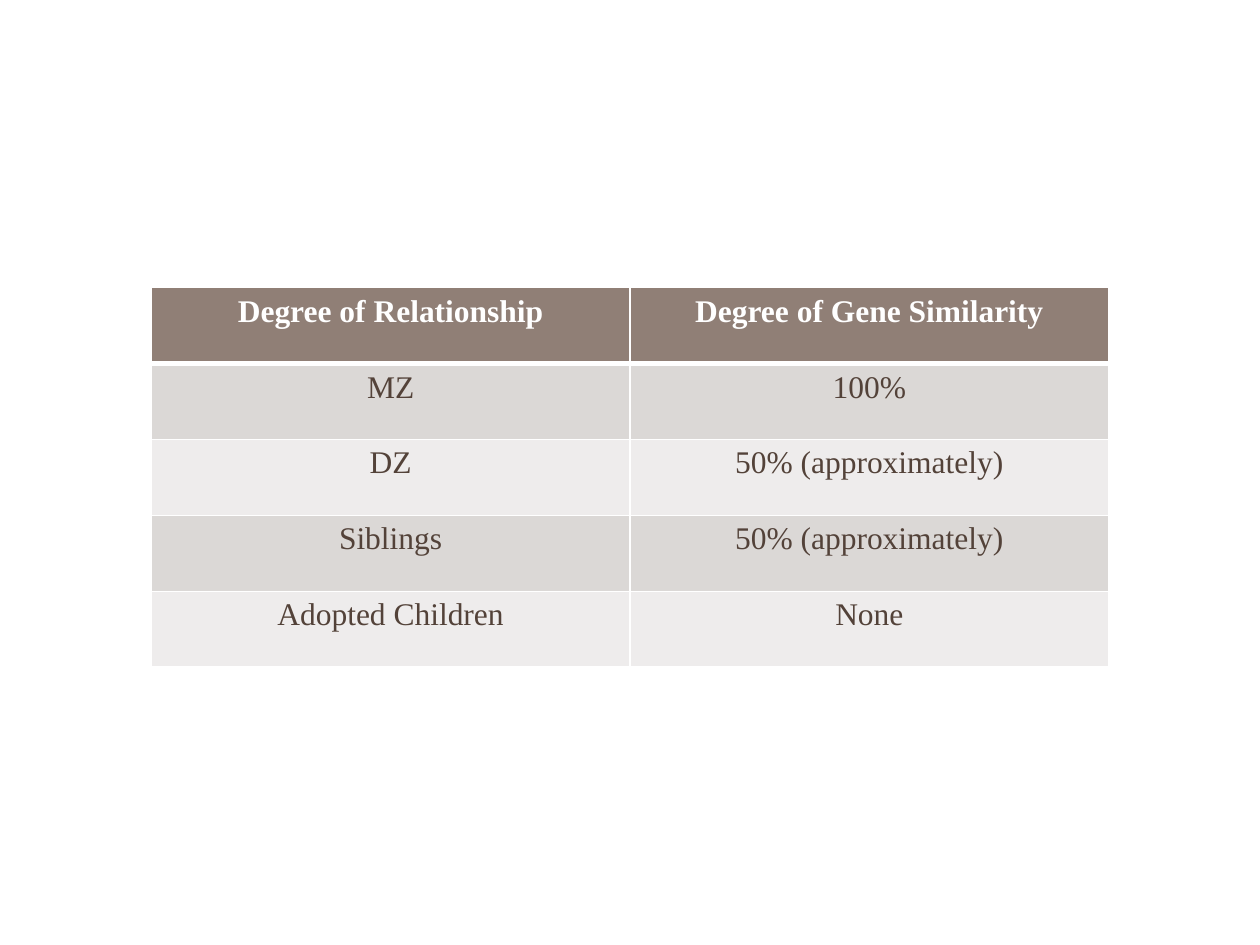
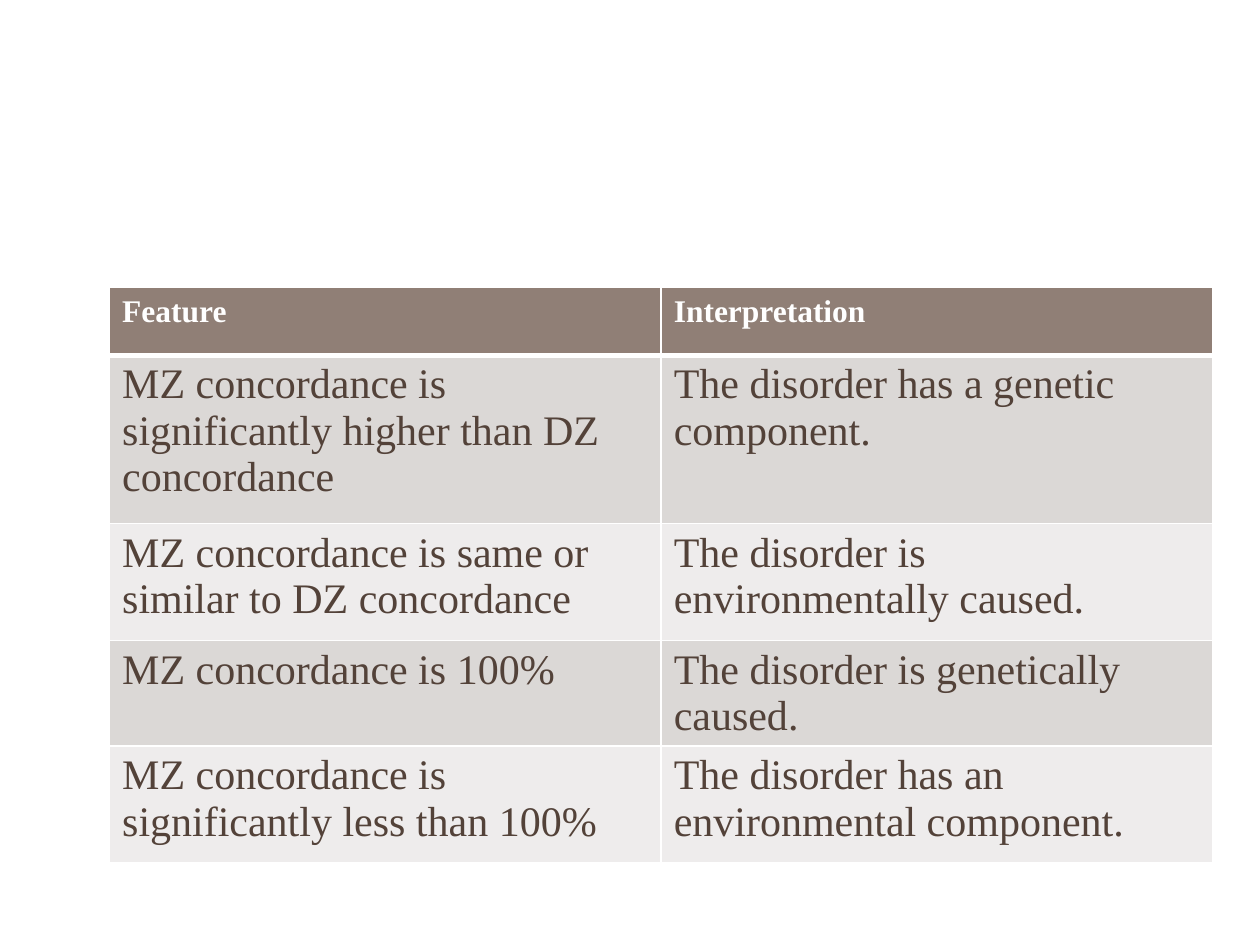
import pptx
import pptx.dml.color
import pptx.enum.text
import pptx.oxml
import pptx.oxml.ns
import pptx.util
import lxml.etree

Cm = pptx.util.Cm
Pt = pptx.util.Pt
ALIGN = pptx.enum.text.PP_ALIGN

# Shared look of both tables
FONT = "Times New Roman"
WHITE = "FFFFFF"
BROWN = "534239"
HEADER_FILL = "907F76"
BAND_FILLS = ["EEECEC", "DBD8D6"]
TABLE_TOP = 5.8


def color(value):
    return pptx.dml.color.RGBColor.from_string(value)


def add_borders(cell, widths):
    """Put white lines on the sides of a cell; widths are in points."""
    properties = cell._tc.get_or_add_tcPr()
    for index, (side, width) in enumerate(widths.items()):
        line = pptx.oxml.parse_xml(
            f'<a:ln{side} {pptx.oxml.ns.nsdecls("a")} w="{Pt(width)}">'
            f'<a:solidFill><a:srgbClr val="{WHITE}"/></a:solidFill></a:ln{side}>')
        properties.insert(index, line)


# Content of the tables, header row first
tables = [
    {
        "left": 3.05, "column_width": 9.65, "row_heights": [1.53] * 5,
        "body_size": 18, "alignment": ALIGN.CENTER,
        "rows": [
            ("Degree of Relationship", "Degree of Gene Similarity"),
            ("MZ", "100%"),
            ("DZ", "50% (approximately)"),
            ("Siblings", "50% (approximately)"),
            ("Adopted Children", "None"),
        ],
    },
    {
        "left": 2.21, "column_width": 11.12,
        "row_heights": [1.36, 3.39, 2.36, 2.13, 2.36],
        "body_size": 24, "alignment": ALIGN.LEFT,
        "rows": [
            ("Feature", "Interpretation"),
            ("MZ concordance is\nsignificantly higher than DZ concordance",
             "The disorder has a genetic component."),
            ("MZ concordance is same or\nsimilar to DZ concordance",
             "The disorder is environmentally caused."),
            ("MZ concordance is 100%", "The disorder is genetically caused."),
            ("MZ concordance is\nsignificantly less than 100%",
             "The disorder has an environmental component."),
        ],
    },
]

deck = pptx.Presentation()
deck.slide_width, deck.slide_height = Cm(25.4), Cm(19.05)

for content in tables:
    page = deck.slides.add_slide(deck.slide_layouts[6])
    rows, heights = content["rows"], content["row_heights"]
    table = page.shapes.add_table(
        len(rows), 2, Cm(content["left"]), Cm(TABLE_TOP),
        Cm(2 * content["column_width"]), Cm(sum(heights))).table
    for column in table.columns:
        column.width = Cm(content["column_width"])

    for row_index, texts in enumerate(rows):
        table.rows[row_index].height = Cm(heights[row_index])
        header = row_index == 0
        font_format = {
            "name": FONT,
            "size": Pt(18 if header else content["body_size"]),
            "bold": header,
        }
        for column_index, text in enumerate(texts):
            cell = table.cell(row_index, column_index)

            # Fill, with a thick line below the header
            cell.fill.solid()
            cell.fill.fore_color.rgb = color(
                HEADER_FILL if header else BAND_FILLS[row_index % 2])
            add_borders(cell, {"L": 1, "R": 1, "T": 3 if row_index == 1 else 1,
                               "B": 3 if header else 1})

            # Text
            cell.text_frame.text = text
            for para in cell.text_frame.paragraphs:
                para.alignment = content["alignment"]
                for span in para.runs:
                    for name, value in font_format.items():
                        setattr(span.font, name, value)
                    span.font.color.rgb = color(WHITE if header else BROWN)

deck.save("out.pptx")
